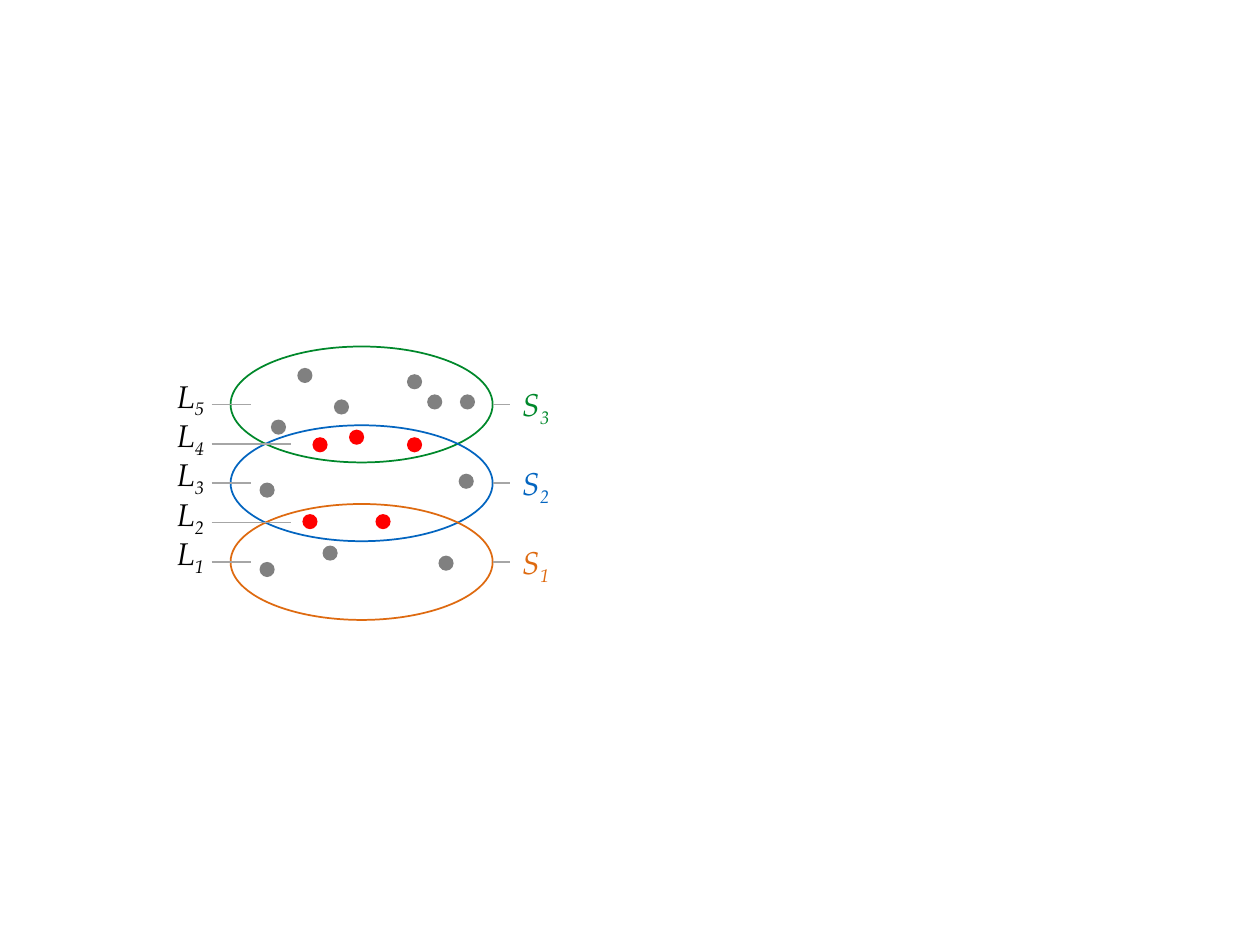
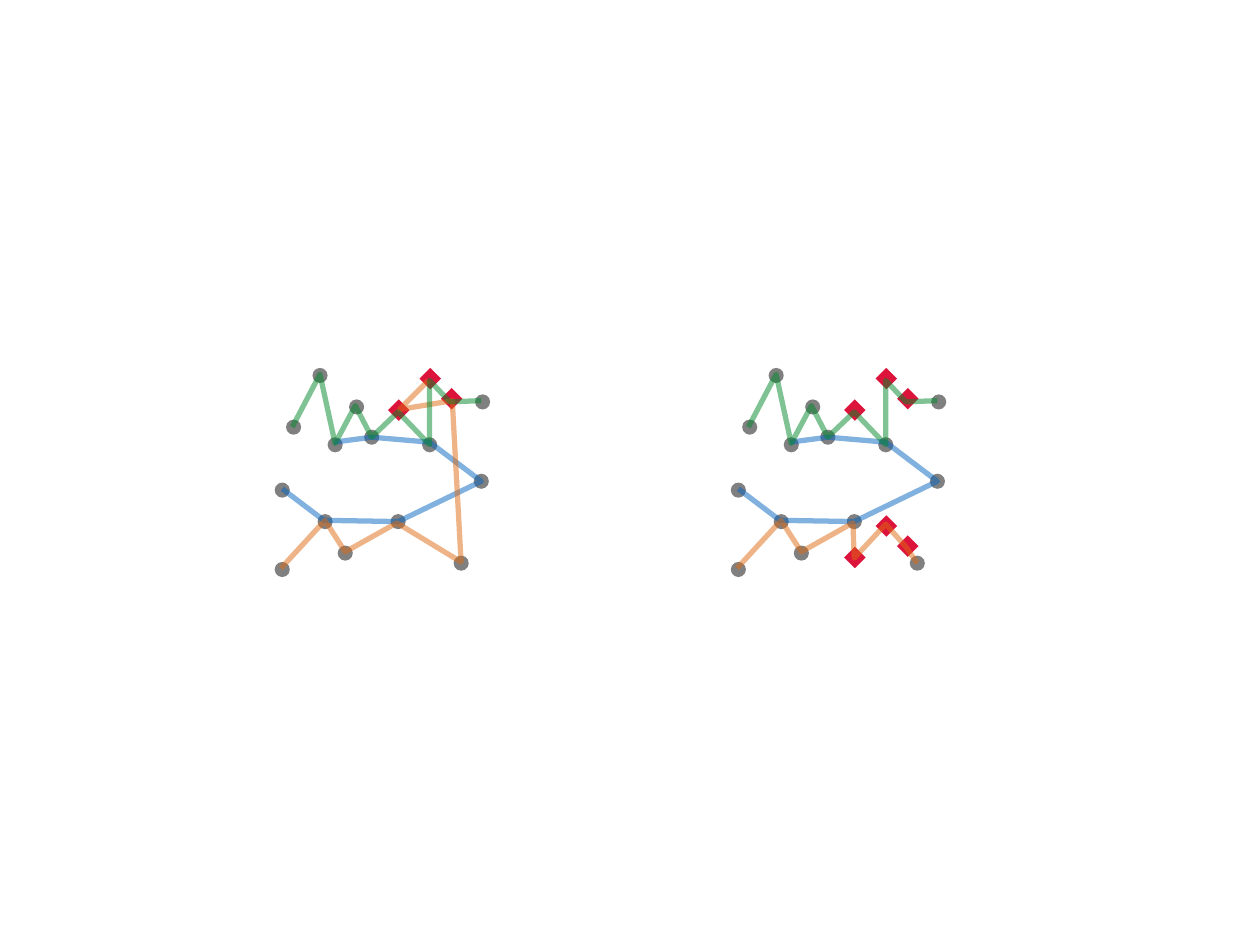
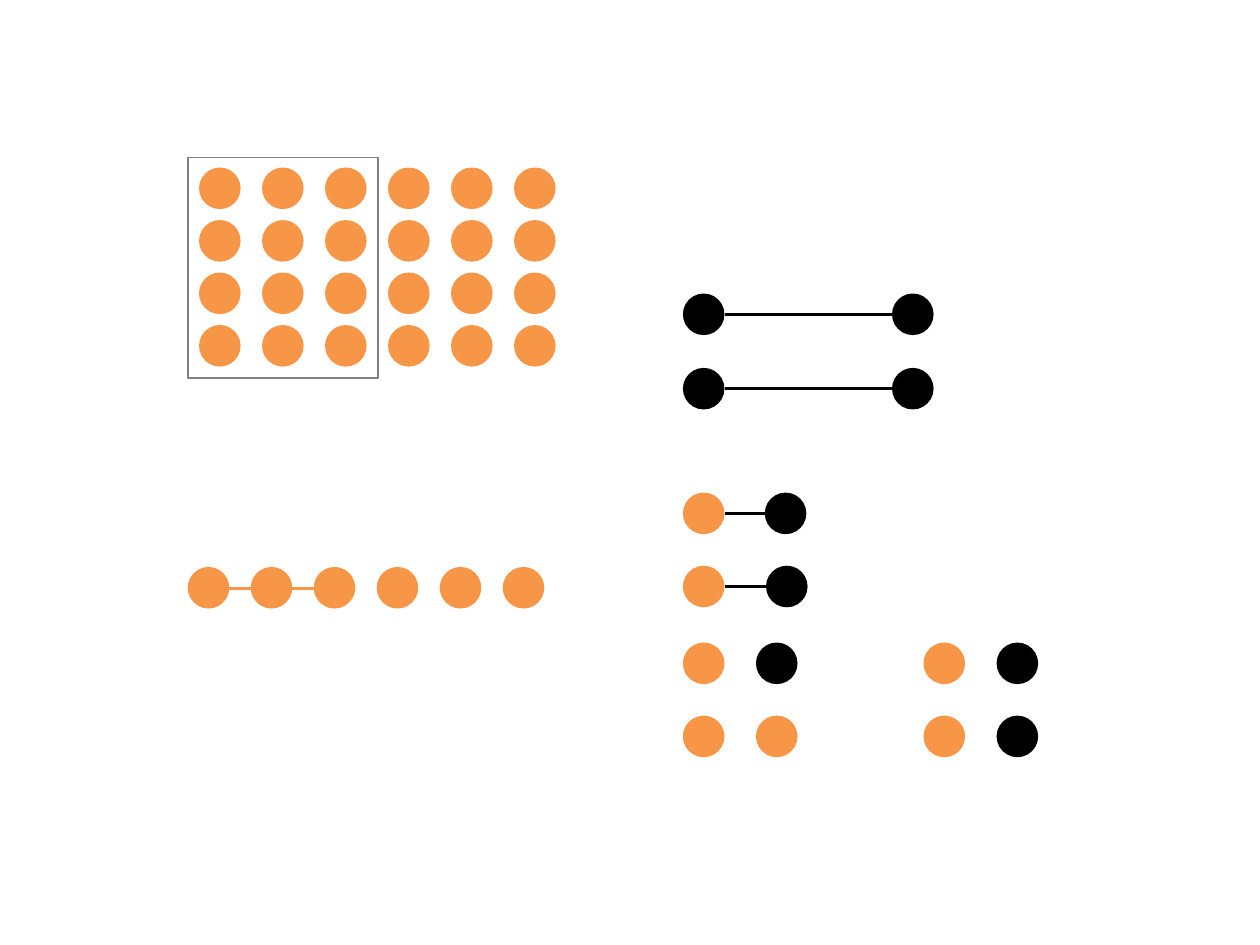
from itertools import product

from lxml.etree import SubElement
from pptx import Presentation
from pptx.dml.color import RGBColor
from pptx.enum.shapes import MSO_CONNECTOR, MSO_SHAPE
from pptx.enum.text import MSO_AUTO_SIZE
from pptx.oxml.ns import qn
from pptx.util import Inches, Pt

FONT = "TeX Gyre Pagella"
BLACK, WHITE, GREY, LIGHT_GREY = "000000", "FFFFFF", "808080", "A6A6A6"
RED, CRIMSON = "FF0000", "DC143C"
GREEN, BLUE, BROWN, ORANGE = "00882B", "0365C0", "DE6A10", "F79646"

DOT, DIAMOND, DISC = 0.12, 0.17, 0.33
SET_GAP = 1.25 / 2

OWN_DOTS = [(2.27, 3.33), (3.77, 3.13), (2.77, 3.17), (2.18, 3.83), (3.76, 3.76),
            (2.18, 4.46), (3.6, 4.41), (2.68, 4.33), (2.48, 2.92)]
SHARED_DOTS = [(3.35, 3.47), (2.6, 3.47), (2.89, 3.41), (3.1, 4.08), (2.52, 4.08)]
EXTRA_DOTS = [(3.35, 2.97), (3.51, 3.13)]
DIAMONDS = [(3.08, 3.17), (3.33, 2.92), (3.5, 3.08)]

BLUE_PATH = [(2.24, 3.88), (2.57, 4.13), (3.16, 4.14), (3.82, 3.82), (3.41, 3.51),
             (2.95, 3.47), (2.65, 3.51)]
GREEN_PATH = [(2.32, 3.39), (2.54, 2.97), (2.66, 3.52), (2.82, 3.22), (2.95, 3.47),
              (3.16, 3.27), (3.41, 3.53), (3.41, 3.02), (3.57, 3.19), (3.82, 3.18)]
BROWN_START = [(2.23, 4.51), (2.58, 4.13), (2.74, 4.38), (3.15, 4.15)]
BROWN_DETOUR = [(3.66, 4.46), (3.59, 3.18), (3.17, 3.25), (3.4, 3.02)]
BROWN_DIRECT = [(3.16, 4.43), (3.41, 4.16), (3.57, 4.34), (3.66, 4.47)]


def rgb(color):
    """Turn a hex string into a colour."""
    return RGBColor.from_string(color)


def shift(points, dx, dy=0):
    """Move all points by the same offset."""
    return [(x + dx, y + dy) for x, y in points]


def add_figure(shapes, kind, x, y, w, h, fill=None, line=None):
    """Add a preset shape with an optional fill and outline."""
    sp = shapes.add_shape(kind, Inches(x), Inches(y), Inches(w), Inches(h))
    sp.shadow.inherit = False
    if fill:
        sp.fill.solid()
        sp.fill.fore_color.rgb = rgb(fill)
    else:
        sp.fill.background()
    if line:
        sp.line.color.rgb = rgb(line)
        sp.line.width = Pt(1)
    else:
        sp.line.fill.background()


def add_marks(shapes, points, size, color, kind=MSO_SHAPE.OVAL):
    """Add one small filled shape of equal size at each point."""
    for x, y in points:
        add_figure(shapes, kind, x, y, size, size, color)


def add_line(shapes, x1, x2, y, color, weight):
    """Add a horizontal line."""
    cxn = shapes.add_connector(MSO_CONNECTOR.STRAIGHT, Inches(x1), Inches(y), Inches(x2), Inches(y))
    cxn.line.color.rgb = rgb(color)
    cxn.line.width = Pt(weight)
    SubElement(cxn._element.spPr, qn("a:effectLst"))
    return cxn


def add_symbol(shapes, x, y, letter, index, color):
    """Add an italic letter with a subscript index."""
    box = shapes.add_textbox(Inches(x), Inches(y), Inches(0.43), Inches(0.4))
    tf = box.text_frame
    tf.word_wrap = False
    tf.auto_size = MSO_AUTO_SIZE.SHAPE_TO_FIT_TEXT
    p = tf.paragraphs[0]
    p.font.name = FONT
    p.font.size = Pt(18)
    p.font.italic = True
    p.font.color.rgb = rgb(color)
    p.add_run().text = letter
    r = p.add_run()
    r.text = str(index)
    r._r.get_or_add_rPr().set("baseline", "-25000")
    return box


def add_path(shapes, points, color):
    """Add a half transparent open polyline."""
    start, *rest = [(Inches(x), Inches(y)) for x, y in points]
    builder = shapes.build_freeform(*start)
    builder.add_line_segments(rest, close=False)
    sp = builder.convert_to_shape()
    sp.shadow.inherit = False
    sp.fill.background()
    sp.line.color.rgb = rgb(color)
    sp.line.width = Pt(3)
    SubElement(sp.line._ln.find(".//" + qn("a:srgbClr")), qn("a:alpha"), val="50000")


def add_curves(shapes, dx, brown_end, diamonds):
    """Add the dots with the three set curves drawn through them."""
    add_marks(shapes, shift(OWN_DOTS + SHARED_DOTS, dx), DOT, GREY)
    add_path(shapes, shift(BLUE_PATH, dx), BLUE)
    add_marks(shapes, shift(diamonds, dx), DIAMOND, CRIMSON, MSO_SHAPE.DIAMOND)
    add_path(shapes, shift(BROWN_START + brown_end, dx), BROWN)
    add_path(shapes, shift(GREEN_PATH, dx), GREEN)


def add_pair(shapes, x1, x2, y, left, right, linked=True):
    """Add two discs side by side, linked by a line if wanted."""
    add_marks(shapes, [(x1, y)], DISC, left)
    add_marks(shapes, [(x2, y)], DISC, right)
    if linked:
        add_line(shapes, x1 + DISC, x2, y + DISC / 2, BLACK, 2)


def build_sets(s):
    """Draw three overlapping sets with their layers."""
    sets = list(enumerate([GREEN, BLUE, BROWN]))
    for i, color in sets:
        add_figure(s.shapes, MSO_SHAPE.OVAL, 1.83, 2.75 + i * SET_GAP, 2.08, 0.92, line=color)
    add_marks(s.shapes, shift(OWN_DOTS + EXTRA_DOTS, -0.12), DOT, GREY)
    add_marks(s.shapes, shift(SHARED_DOTS, -0.12), DOT, RED)
    for i, color in sets:
        y = 3.21 + i * SET_GAP
        box = add_symbol(s.shapes, 4.05, y - 0.2, "S", 3 - i, color)
        add_line(s.shapes, 3.91, 4.05, y, LIGHT_GREY, 1).end_connect(box, 1)
    for i in range(5):
        y = 3.21 + i * SET_GAP / 2
        add_symbol(s.shapes, 1.31, y - 0.27, "L", 5 - i, BLACK)
        add_line(s.shapes, 1.68, 2.31 if i % 2 else 1.99, y, LIGHT_GREY, 1)


def build_curves(s):
    """Draw the curves with a detour and with repeated diamonds."""
    add_curves(s.shapes, 0, BROWN_DETOUR, DIAMONDS)
    add_curves(s.shapes, 3.62, BROWN_DIRECT, DIAMONDS + shift(DIAMONDS, 0, 1.17))


def build_discs(s):
    """Draw the disc grid, the disc row and the disc pairs."""
    add_figure(s.shapes, MSO_SHAPE.RECTANGLE, 1.49, 1.25, 1.51, 1.75, WHITE, GREY)
    grid = [(1.58 + col * 0.5, 1.33 + row * 1.25 / 3) for col, row in product(range(6), range(4))]
    add_marks(s.shapes, grid, DISC, ORANGE)

    row = s.shapes.add_group_shape().shapes
    for x in (1.82, 2.32):
        add_line(row, x, x + 0.17, 4.67, ORANGE, 2)
    add_marks(row, [(1.49 + i * 0.5, 4.5) for i in range(6)], DISC, ORANGE)

    wide = s.shapes.add_group_shape().shapes
    for y in (2.33, 2.92):
        add_pair(wide, 5.42, 7.08, y, BLACK, BLACK)

    narrow = s.shapes.add_group_shape().shapes
    for x, y in [(6.07, 3.91), (6.08, 4.49)]:
        add_pair(narrow, 5.42, x, y, ORANGE, BLACK)

    loose = s.shapes.add_group_shape().shapes
    for x, y, right in [(5.42, 5.1, BLACK), (5.42, 5.68, ORANGE),
                        (7.33, 5.1, BLACK), (7.33, 5.68, BLACK)]:
        add_pair(loose, x, x + 0.58, y, ORANGE, right, linked=False)


def main():
    """Build the three slides and save them."""
    prs = Presentation()
    prs.slide_width, prs.slide_height = Inches(10), Inches(7.5)
    for build in (build_sets, build_curves, build_discs):
        build(prs.slides.add_slide(prs.slide_layouts[6]))
    prs.save("out.pptx")


if __name__ == "__main__":
    main()
